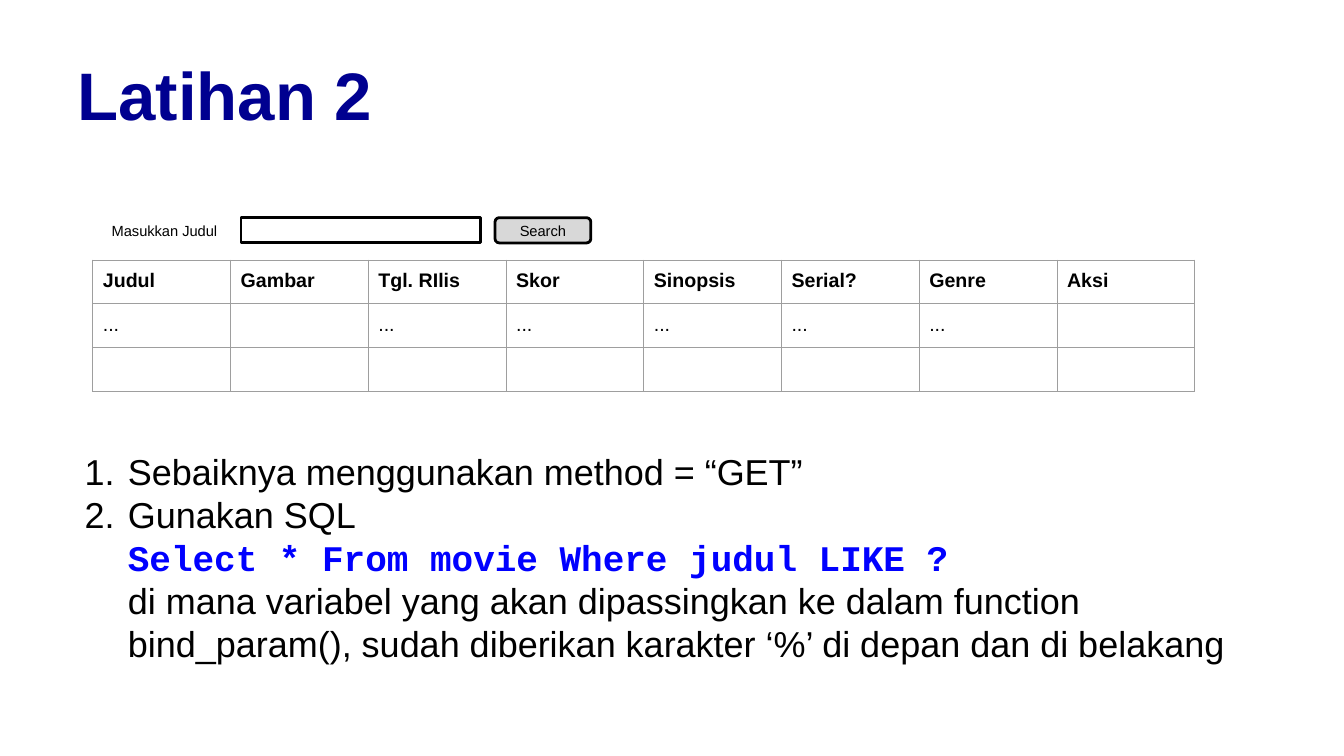
"""Build the "Latihan 2" exercise slide with a search form, movie table and instructions."""
import pptx
import pptx.dml.color
import pptx.enum.shapes
import pptx.enum.text
import pptx.oxml
import pptx.oxml.ns
import pptx.util
from pptx.util import Inches


class Theme:
    sans, mono = "Arial", "Courier New"
    title, code, ink = "000090", "0000FF", "000000"
    paper, button, grid = "FFFFFF", "D8D8D8", "9E9E9E"
    title_size, body_size, cell_size, form_size = 48, 25.7, 14, 10.5
    body_leading, body_before = 30.7, 5.3
    form_line, grid_line = 2, 0.75


def add_run(p, text, size, color=Theme.ink, font=Theme.sans, bold=False):
    r = p.add_run()
    r.text = text
    r.font.name, r.font.size, r.font.bold = font, pptx.util.Pt(size), bold
    r.font.color.rgb = pptx.dml.color.RGBColor.from_string(color)


def add_text(s, left, top, width, height):
    tf = s.shapes.add_textbox(Inches(left), Inches(top), Inches(width), Inches(height)).text_frame
    tf.word_wrap = True
    return tf


prs = pptx.Presentation()
prs.slide_width, prs.slide_height = Inches(13.33), Inches(7.5)
s = prs.slides.add_slide(prs.slide_layouts[6])
nsdecls = pptx.oxml.ns.nsdecls("a")

tf = add_text(s, 0.67, 0.3, 12, 1.25)
tf.vertical_anchor = pptx.enum.text.MSO_ANCHOR.MIDDLE
add_run(tf.paragraphs[0], "Latihan 2", Theme.title_size, Theme.title, bold=True)

steps = [
    [("Sebaiknya menggunakan method = “GET”", False)],
    [("Gunakan SQL", False),
     ("Select * From movie Where judul LIKE ?", True),
     ("di mana variabel yang akan dipassingkan ke dalam function bind_param(), "
      "sudah diberikan karakter ‘%’ di depan dan di belakang", False)],
]
tf = add_text(s, 0.67, 4.41, 12, 2.29)
for i, lines in enumerate(steps):
    p = tf.add_paragraph() if i else tf.paragraphs[0]
    p.line_spacing = pptx.util.Pt(Theme.body_leading)
    p.space_before = pptx.util.Pt(0 if i else Theme.body_before)
    pPr = p._p.get_or_add_pPr()
    pPr.set("marL", str(Inches(0.5)))
    pPr.set("indent", str(Inches(-0.43)))
    for xml in (f'<a:buClr {nsdecls}><a:srgbClr val="{Theme.ink}"/></a:buClr>',
                f'<a:buFont {nsdecls} typeface="{Theme.sans}"/>',
                f'<a:buAutoNum {nsdecls} type="arabicPeriod"/>'):
        pPr.append(pptx.oxml.parse_xml(xml))
    for j, (text, is_code) in enumerate(lines):
        if j:
            p.add_line_break()
        add_run(p, text, Theme.body_size, Theme.code if is_code else Theme.ink,
                Theme.mono if is_code else Theme.sans, is_code)

tf = add_text(s, 1.01, 2.15, 1.93, 0.28)
add_run(tf.paragraphs[0], "Masukkan Judul", Theme.form_size)

shapes = pptx.enum.shapes.MSO_SHAPE
for kind, left, width, fill, text in [
    (shapes.RECTANGLE, 2.39, 2.38, Theme.paper, ""),
    (shapes.ROUNDED_RECTANGLE, 4.91, 0.95, Theme.button, "Search"),
]:
    sp = s.shapes.add_shape(kind, Inches(left), Inches(2.16), Inches(width), Inches(0.25))
    sp.shadow.inherit = False
    sp.fill.solid()
    sp.fill.fore_color.rgb = pptx.dml.color.RGBColor.from_string(fill)
    sp.line.color.rgb = pptx.dml.color.RGBColor.from_string(Theme.ink)
    sp.line.width = pptx.util.Pt(Theme.form_line)
    if text:
        tf = sp.text_frame
        tf.vertical_anchor = pptx.enum.text.MSO_ANCHOR.MIDDLE
        p = tf.paragraphs[0]
        p.alignment = pptx.enum.text.PP_ALIGN.CENTER
        add_run(p, text, Theme.form_size)

rows = [
    ["Judul", "Gambar", "Tgl. RIlis", "Skor", "Sinopsis", "Serial?", "Genre", "Aksi"],
    ["...", "", "...", "...", "...", "...", "...", ""],
    [""] * 8,
]
table = s.shapes.add_table(len(rows), len(rows[0]), Inches(0.92), Inches(2.58),
                           Inches(10.93), Inches(1.3)).table
table.first_row = table.horz_banding = False
for i, row in enumerate(rows):
    for j, text in enumerate(row):
        cell = table.cell(i, j)
        cell.margin_left = cell.margin_right = cell.margin_top = cell.margin_bottom = Inches(0.1)
        p = cell.text_frame.paragraphs[0]
        if text:
            add_run(p, text, Theme.cell_size, bold=i == 0)
        else:
            p._p.get_or_add_endParaRPr().set("sz", str(Theme.cell_size * 100))
        tcPr = cell._tc.get_or_add_tcPr()
        for side in ("lnL", "lnR", "lnT", "lnB"):
            tcPr.append(pptx.oxml.parse_xml(
                f'<a:{side} {nsdecls} w="{pptx.util.Pt(Theme.grid_line)}"><a:solidFill>'
                f'<a:srgbClr val="{Theme.grid}"/></a:solidFill></a:{side}>'))
        cell.fill.background()

prs.save("out.pptx")
